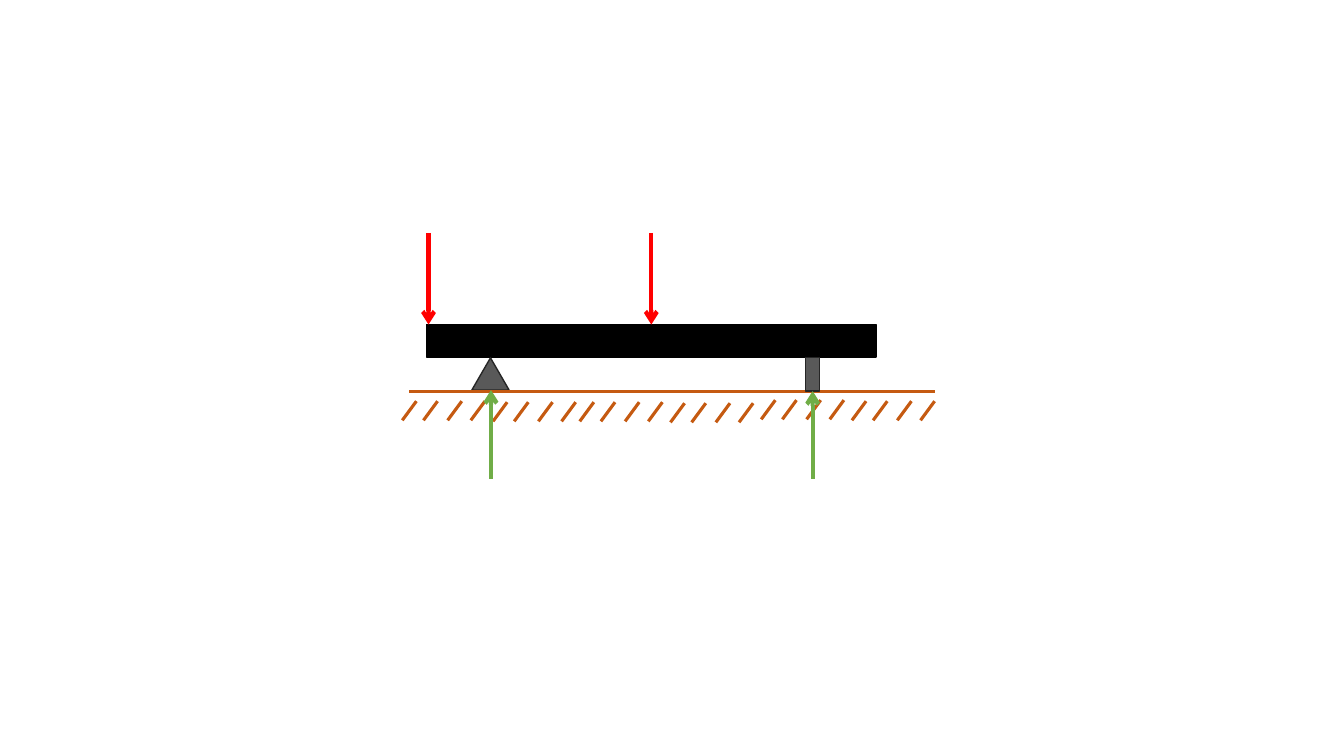
from dataclasses import dataclass

from lxml.etree import SubElement
from pptx import Presentation
from pptx.dml.color import RGBColor
from pptx.enum.shapes import MSO_CONNECTOR as Connector, MSO_SHAPE as Shape
from pptx.oxml.ns import qn
from pptx.util import Inches, Pt


@dataclass(frozen=True)
class Theme:
    beam: str = "000000"
    support: str = "595959"
    support_edge: str = "262626"
    load: str = "FF0000"
    ground: str = "C55A11"
    reaction: str = "70AD47"
    edge_width: float = 1
    ground_width: float = 2.25
    force_width: float = 3


class BeamDiagram:
    """Draws the parts of a loaded beam on one slide."""

    def __init__(self, slide, theme):
        self.slide = slide
        self.theme = theme

    def style_line(self, line, color, width):
        line.color.rgb = RGBColor.from_string(color)
        line.width = Pt(width)

    def body(self, kind, left, top, width, height, fill, edge):
        shape = self.slide.shapes.add_shape(
            kind, Inches(left), Inches(top), Inches(width), Inches(height))
        shape.shadow.inherit = False
        shape.fill.solid()
        shape.fill.fore_color.rgb = RGBColor.from_string(fill)
        self.style_line(shape.line, edge, self.theme.edge_width)
        return shape

    def line(self, start, end, color, width):
        connector = self.slide.shapes.add_connector(
            Connector.STRAIGHT, *(Inches(value) for value in (*start, *end)))
        self.style_line(connector.line, color, width)
        SubElement(connector.element.spPr, qn("a:effectLst"))
        return connector

    def force(self, x, start_y, end_y, color):
        arrow = self.line((x, start_y), (x, end_y), color, self.theme.force_width)
        SubElement(arrow.line.color and arrow.element.spPr.find(qn("a:ln")),
                   qn("a:tailEnd"), type="arrow")
        return arrow

    def ground(self, left, right, y):
        color, width = self.theme.ground, self.theme.ground_width
        self.line((left, y), (right, y), color, width)
        groups = ((3.99, 4.17), (4.89, 4.18), (5.75, 4.18),
                  (6.65, 4.19), (7.55, 4.16), (8.45, 4.17))
        for group_left, bottom in groups:
            for offset in (0, 0.21, 0.45, 0.68):
                x = group_left + offset
                self.line((x, bottom), (x + 0.14, bottom - 0.19), color, width)


def main():
    presentation = Presentation()
    presentation.slide_width = Inches(13.33)
    presentation.slide_height = Inches(7.5)
    slide = presentation.slides.add_slide(presentation.slide_layouts[6])
    theme = Theme()
    diagram = BeamDiagram(slide, theme)

    beam = diagram.body(Shape.RECTANGLE, 4.23, 3.22, 4.46, 0.32, theme.beam, theme.beam)
    diagram.body(Shape.ISOSCELES_TRIANGLE, 4.68, 3.55, 0.37, 0.32,
                 theme.support, theme.support_edge)
    diagram.force(4.25, 2.31, 3.22, theme.load)
    middle_load = diagram.force(6.46, 2.31, 3.22, theme.load)
    middle_load.end_connect(beam, 0)
    diagram.ground(4.06, 9.27, 3.88)
    roller = diagram.body(Shape.RECTANGLE, 7.99, 3.55, 0.14, 0.33,
                          theme.support, theme.support_edge)
    roller_reaction = diagram.force(8.06, 4.75, 3.88, theme.reaction)
    roller_reaction.end_connect(roller, 2)
    diagram.force(4.87, 4.75, 3.87, theme.reaction)

    presentation.save("out.pptx")


if __name__ == "__main__":
    main()
